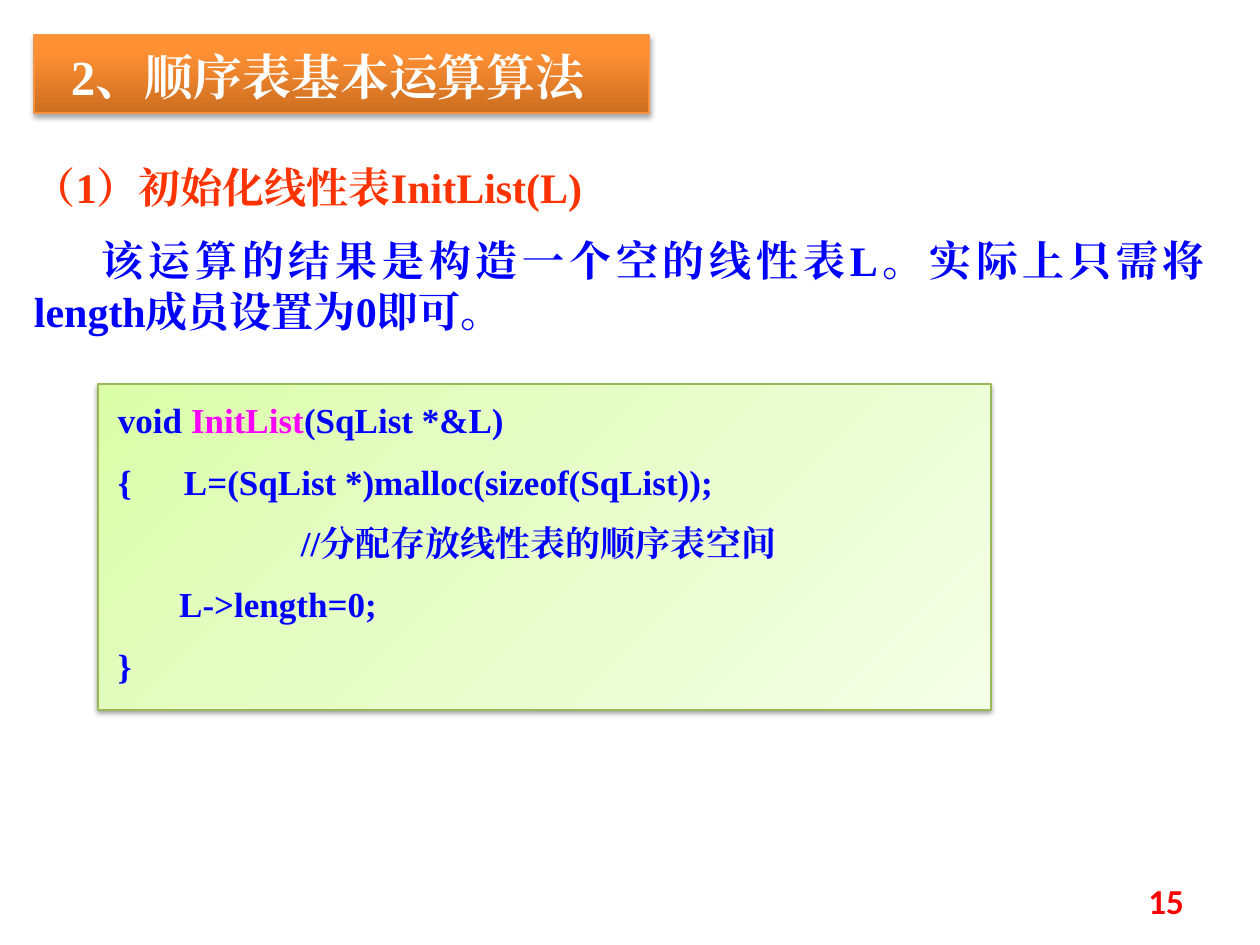
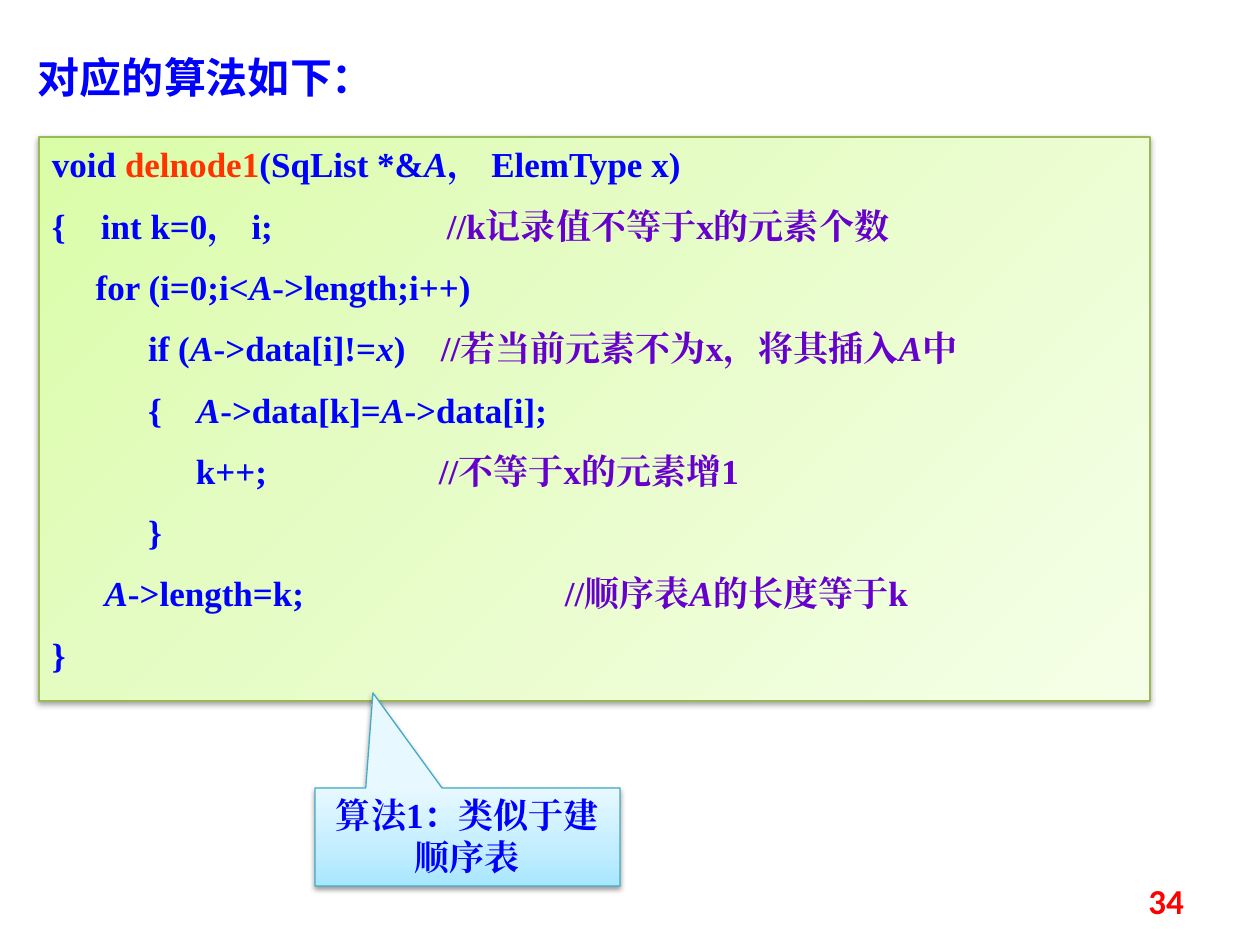
from lxml.etree import SubElement
from pptx import Presentation
from pptx.dml.color import RGBColor
from pptx.enum.shapes import MSO_SHAPE
from pptx.enum.text import MSO_ANCHOR, MSO_AUTO_SIZE, PP_ALIGN
from pptx.oxml.ns import qn
from pptx.util import Pt

RECT, CALLOUT = MSO_SHAPE.RECTANGLE, MSO_SHAPE.RECTANGULAR_CALLOUT
TOP, MIDDLE = MSO_ANCHOR.TOP, MSO_ANCHOR.MIDDLE
LEFT, RIGHT = PP_ALIGN.LEFT, PP_ALIGN.RIGHT
CENTER, JUSTIFY = PP_ALIGN.CENTER, PP_ALIGN.JUSTIFY
NO_FIT = MSO_AUTO_SIZE.NONE

PX_PER_INCH = 126
TITLE_ONLY = 5
SERIF, SANS, NUMBER = "Times New Roman", "Noto Sans CJK SC", "Calibri"
COLORS = {
    "text": "0000FF", "heading": "FF3300", "name": "FF00FF",
    "comment": "6600CC", "number": "FF0000", "white": "FFFFFF",
    "orange line": "F69240", "green line": "98B955", "blue line": "46AAC5",
}
# Gradient stops (percent, colour) and angle in degrees
ORANGE = [(0, "CC6E20"), (80, "FF9034"), (100, "FF9136")], 270
GREEN = [(0, "DAFDA7"), (35, "E4FCC2"), (100, "F5FFE7")], 45
BLUE = [(0, "A7E6FF"), (35, "C1EDFF"), (100, "E7F8FF")], 270


def px(n):
    return round(n * 914400 / PX_PER_INCH)


def add(parent, tag, **attrs):
    return SubElement(parent, qn(tag), {k: str(v) for k, v in attrs.items()})


class Deck:
    def __init__(self):
        self.prs = Presentation()
        self.prs.slide_width, self.prs.slide_height = px(1260), px(945)
        self.s = None

    def slide(self):
        self.s = self.prs.slides.add_slide(self.prs.slide_layouts[TITLE_ONLY])

    def panel(self, sp, gradient, line, opacity=38, distance=1.6):
        """Give a shape its gradient, thin outline and soft shadow."""
        stops, angle = gradient
        spPr = sp.element.spPr
        grad = add(spPr, "a:gradFill", rotWithShape=1)
        gs_list = add(grad, "a:gsLst")
        for pos, color in stops:
            add(add(gs_list, "a:gs", pos=pos * 1000), "a:srgbClr", val=color)
        add(grad, "a:lin", ang=angle * 60000, scaled=0)
        sp.line.color.rgb = RGBColor.from_string(COLORS[line])
        sp.line.width = Pt(0.75)
        sp.shadow.inherit = False
        shadow = add(spPr.find(qn("a:effectLst")), "a:outerShdw",
                     blurRad=Pt(3.1), dist=Pt(distance), dir=90 * 60000, rotWithShape=0)
        add(add(shadow, "a:srgbClr", val="000000"), "a:alpha", val=opacity * 1000)

    def frame(self, sp, inset=(13, 6), anchor=TOP):
        tf = sp.text_frame
        tf.word_wrap, tf.auto_size, tf.vertical_anchor = True, NO_FIT, anchor
        tf.margin_left, tf.margin_right = px(inset[0]), px(13)
        tf.margin_top = tf.margin_bottom = px(inset[1])
        return tf

    def paragraph(self, tf, runs, size=20, font=SERIF, color="text", align=LEFT,
                  spacing=None, indent=0, tabs=()):
        """A run is a string, or a tuple (text, colour, italic)."""
        first = not tf.text
        p = tf.paragraphs[0] if first else tf.add_paragraph()
        pPr = p._p.get_or_add_pPr()
        if indent:
            pPr.set("indent", str(px(indent)))
        if tabs:
            tab_list = add(pPr, "a:tabLst")
            for pos in tabs:
                add(tab_list, "a:tab", pos=px(pos), algn="l")
        p.alignment = align
        p.space_before = Pt(0 if first else size * 0.55)
        if spacing:
            p.line_spacing = spacing
        for run in runs:
            text, run_color, italic = (run, color, False) if isinstance(run, str) else run
            r = p.add_run()
            r.text = text
            r.font.name, r.font.size = font, Pt(size)
            r.font.bold, r.font.italic = True, italic
            r.font.color.rgb = RGBColor.from_string(COLORS[run_color])
            add(r._r.get_or_add_rPr(), "a:ea", typeface=font)

    def title(self, text, box, inset=(13, 6), **style):
        sp = self.s.shapes.title
        sp.left, sp.top, sp.width, sp.height = map(px, box)
        self.paragraph(self.frame(sp, inset), [text], **style)
        return sp

    def text(self, box, anchor=TOP):
        return self.frame(self.s.shapes.add_textbox(*map(px, box)), anchor=anchor)

    def code(self, box, lines, inset=(13, 6)):
        """Green panel with one paragraph per (runs, tab stops) line."""
        sp = self.s.shapes.add_shape(RECT, *map(px, box))
        self.panel(sp, GREEN, "green line")
        tf = self.frame(sp, inset)
        for runs, tabs in lines:
            self.paragraph(tf, runs, tabs=tabs)

    def callout(self, text, box, tip):
        sp = self.s.shapes.add_shape(CALLOUT, *map(px, box))
        sp.adjustments[0], sp.adjustments[1] = tip
        self.panel(sp, BLUE, "blue line")
        self.paragraph(self.frame(sp), [text], align=CENTER)

    def page_number(self, number):
        tf = self.text((903, 876, 294, 50), MIDDLE)
        self.paragraph(tf, [str(number)], font=NUMBER, color="number", align=RIGHT)


def init_list_slide(deck):
    deck.slide()
    banner = deck.title("2、顺序表基本运算算法", (34, 35, 615, 78), inset=(37, 6),
                        size=28, color="white", spacing=1.1)
    deck.panel(banner, ORANGE, "orange line", opacity=35, distance=1.8)
    tf = deck.text((21, 135, 1197, 212))
    deck.paragraph(tf, ["（1）初始化线性表InitList(L)"], size=24, color="heading", spacing=1.4)
    deck.paragraph(tf, ["该运算的结果是构造一个空的线性表L。实际上只需将length成员设置为0即可。"],
                   size=24, align=JUSTIFY, indent=68)
    deck.code((98, 384, 893, 326), [
        (["void ", ("InitList", "name", False), "(SqList *&L)"], ()),
        (["{\tL=(SqList *)malloc(sizeof(SqList));"], (66,)),
        (["\t//分配存放线性表的顺序表空间"], (183,)),
        (["       L->length=0;"], ()),
        (["}"], ()),
    ], inset=(20, 15))
    deck.page_number(15)


def delete_node_slide(deck):
    def note(text):
        return text, "comment", False

    a, note_a = ("A", "text", True), ("A", "comment", True)
    deck.slide()
    deck.title("对应的算法如下：", (25, 45, 1142, 63), size=24, font=SANS)
    deck.code((39, 137, 1111, 564), [
        (["void ", ("delnode1", "heading", False), "(SqList *&", a, "， ElemType x)"], ()),
        (["{\tint k=0， i;\t", note("//k记录值不等于x的元素个数")], (49, 395)),
        (["     for (i=0;i<", a, "->length;i++)"], ()),
        (["           if (", a, "->data[i]!=", ("x", "text", True), ")\t",
          note("//若当前元素不为x，将其插入"), note_a, note("中")], (389,)),
        (["           {\t", a, "->data[k]=", a, "->data[i];"], (145,)),
        (["\tk++;\t", note("//不等于x的元素增1")], (144, 387)),
        (["           }"], ()),
        (["      ", a, "->length=k;\t", note("//顺序表"), note_a, note("的长度等于k")], (513,)),
        (["}"], ()),
    ])
    deck.callout("算法1：类似于建顺序表", (315, 788, 305, 98), tip=(-0.31, -1.47))
    deck.page_number(34)


def main():
    deck = Deck()
    init_list_slide(deck)
    delete_node_slide(deck)
    deck.prs.save("out.pptx")


if __name__ == "__main__":
    main()
